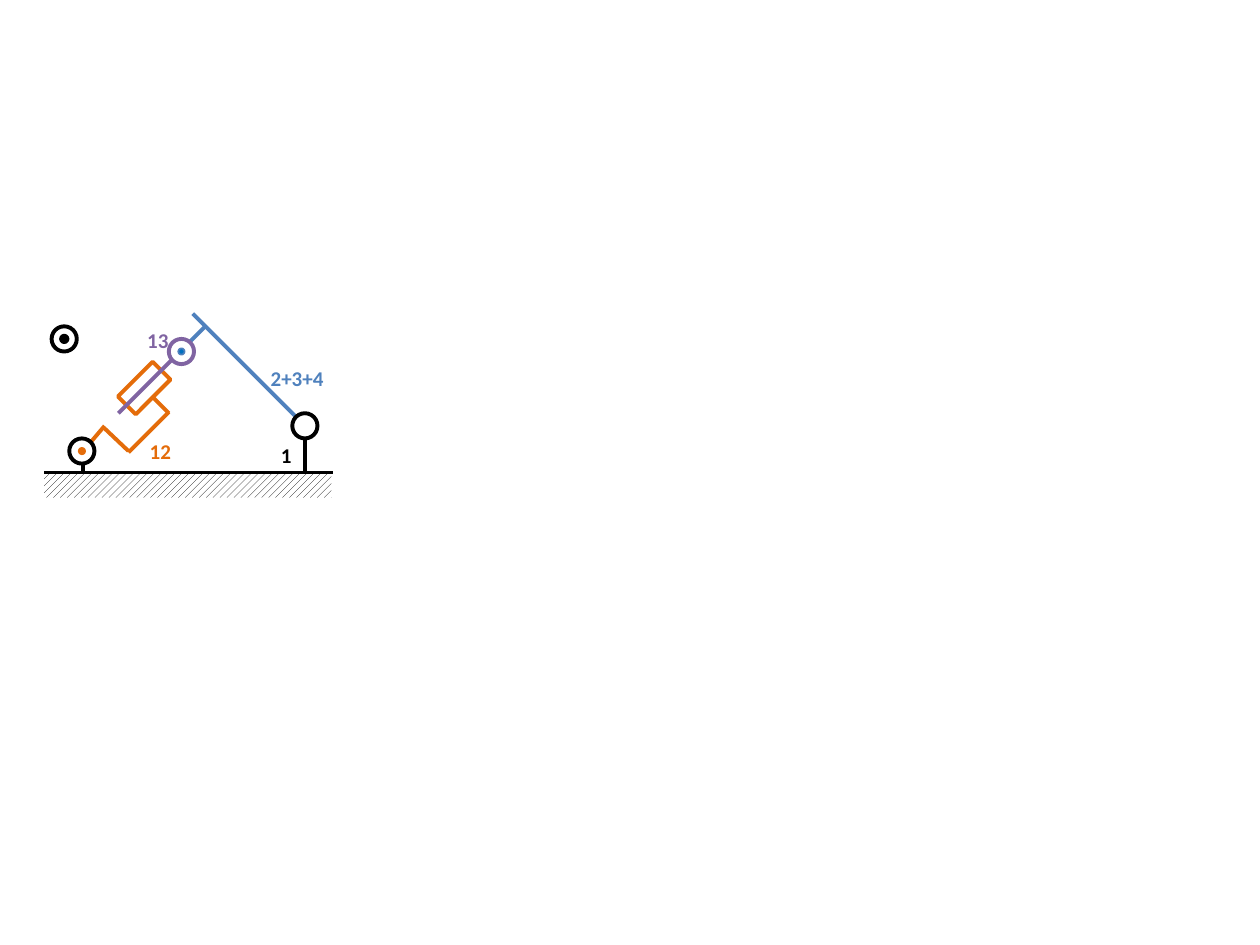
from dataclasses import dataclass

import pptx
import pptx.dml.color
import pptx.enum.dml
import pptx.enum.shapes
import pptx.enum.text
import pptx.oxml.ns
import pptx.util
from pptx.util import Inches

RGB = pptx.dml.color.RGBColor
SHAPE = pptx.enum.shapes.MSO_SHAPE


@dataclass(frozen=True)
class Theme:
    black: RGB = RGB.from_string("000000")
    white: RGB = RGB.from_string("FFFFFF")
    blue: RGB = RGB.from_string("4F81BD")
    deep_blue: RGB = RGB.from_string("0070C0")
    orange: RGB = RGB.from_string("E46C0A")
    purple: RGB = RGB.from_string("8064A2")
    font: str = "Calibri"
    text_size: float = 12
    stroke: float = 2.25
    thin_stroke: float = 1
    joint_size: float = 0.2
    dot_size: float = 0.05


T = Theme()


@dataclass(frozen=True)
class Link:
    start: tuple[float, float]
    end: tuple[float, float]
    color: RGB


@dataclass(frozen=True)
class Dot:
    fill: RGB
    line: RGB
    stroke: float


@dataclass(frozen=True)
class Joint:
    x: float
    y: float
    color: RGB
    dot: Dot | None = None


@dataclass(frozen=True)
class Label:
    text: str
    x: float
    y: float
    width: float
    color: RGB


LINKS = [
    Link((2.42, 3.48), (2.42, 3.75), T.black),
    Link((2.35, 3.31), (1.53, 2.49), T.blue),
    Link((1.51, 2.71), (1.63, 2.59), T.blue),
    Link((0.94, 3.28), (1.36, 2.86), T.purple),
    Link((1.22, 3.16), (1.34, 3.28), T.orange),
    Link((1.34, 3.27), (1.02, 3.59), T.orange),
    Link((0.83, 3.40), (1.02, 3.58), T.orange),
    Link((0.83, 3.38), (0.72, 3.51), T.orange),
    Link((0.35, 3.75), (2.64, 3.75), T.black),
    Link((0.66, 3.69), (0.66, 3.75), T.black),
]

JOINTS = [
    Joint(2.42, 3.38, T.black),
    Joint(0.51, 2.69, T.black, Dot(T.black, T.black, T.stroke)),
    Joint(0.65, 3.58, T.black, Dot(T.orange, T.orange, T.thin_stroke)),
    Joint(1.44, 2.79, T.purple, Dot(T.deep_blue, T.blue, T.thin_stroke)),
]

LABELS = [
    Label("13", 1.07, 2.55, 0.37, T.purple),
    Label("2+3+4", 2.05, 2.85, 0.63, T.blue),
    Label("12", 1.09, 3.43, 0.37, T.orange),
    Label("1", 2.13, 3.46, 0.29, T.black),
]


def add_outline(s, kind, x: float, y: float, w: float, h: float,
                color: RGB, stroke: float = T.stroke):
    """Add an unfilled preset shape with a coloured line."""
    sp = s.shapes.add_shape(kind, Inches(x), Inches(y), Inches(w), Inches(h))
    sp.shadow.inherit = False
    sp.fill.background()
    sp.line.color.rgb = color
    sp.line.width = pptx.util.Pt(stroke)
    return sp


def add_circle(s, x: float, y: float, size: float, color: RGB,
               stroke: float = T.stroke):
    """Add an unfilled circle around the centre x, y."""
    return add_outline(s, SHAPE.OVAL, x - size / 2, y - size / 2,
                       size, size, color, stroke)


def add_ground(s) -> None:
    sp = add_outline(s, SHAPE.RECTANGLE, 0.35, 3.75, 2.28, 0.2, T.black)
    sp.line.fill.background()
    sp.fill.patterned()
    sp.fill.pattern = pptx.enum.dml.MSO_PATTERN.WIDE_UPWARD_DIAGONAL
    sp.fill.fore_color.rgb = T.black
    sp.fill.back_color.rgb = T.white


def add_slider(s) -> None:
    sp = add_outline(s, SHAPE.RECTANGLE, 0.95, 2.98, 0.39, 0.2, T.orange)
    sp.rotation = 315


def add_link(s, link: Link) -> None:
    c = s.shapes.add_connector(
        pptx.enum.shapes.MSO_CONNECTOR.STRAIGHT,
        *(Inches(v) for v in link.start + link.end))
    c.line.color.rgb = link.color
    c.line.width = pptx.util.Pt(T.stroke)
    sp_pr = c._element.spPr
    sp_pr.append(sp_pr.makeelement(pptx.oxml.ns.qn("a:effectLst"), {}))


def add_joint(s, joint: Joint) -> None:
    add_circle(s, joint.x, joint.y, T.joint_size, joint.color)
    if joint.dot:
        sp = add_circle(s, joint.x, joint.y, T.dot_size,
                        joint.dot.line, joint.dot.stroke)
        sp.fill.solid()
        sp.fill.fore_color.rgb = joint.dot.fill


def add_label(s, label: Label) -> None:
    sp = s.shapes.add_textbox(Inches(label.x), Inches(label.y),
                              Inches(label.width), Inches(0.3))
    tf = sp.text_frame
    tf.word_wrap = False
    tf.auto_size = pptx.enum.text.MSO_AUTO_SIZE.SHAPE_TO_FIT_TEXT
    r = tf.paragraphs[0].add_run()
    r.text = label.text
    r.font.name = T.font
    r.font.size = pptx.util.Pt(T.text_size)
    r.font.bold = True
    r.font.color.rgb = label.color


def main() -> None:
    prs = pptx.Presentation()
    prs.slide_width, prs.slide_height = Inches(10), Inches(7.5)
    s = prs.slides.add_slide(prs.slide_layouts[6])
    add_ground(s)
    add_slider(s)
    for link in LINKS:
        add_link(s, link)
    for label in LABELS:
        add_label(s, label)
    for joint in JOINTS:
        add_joint(s, joint)
    prs.save("out.pptx")


if __name__ == "__main__":
    main()
